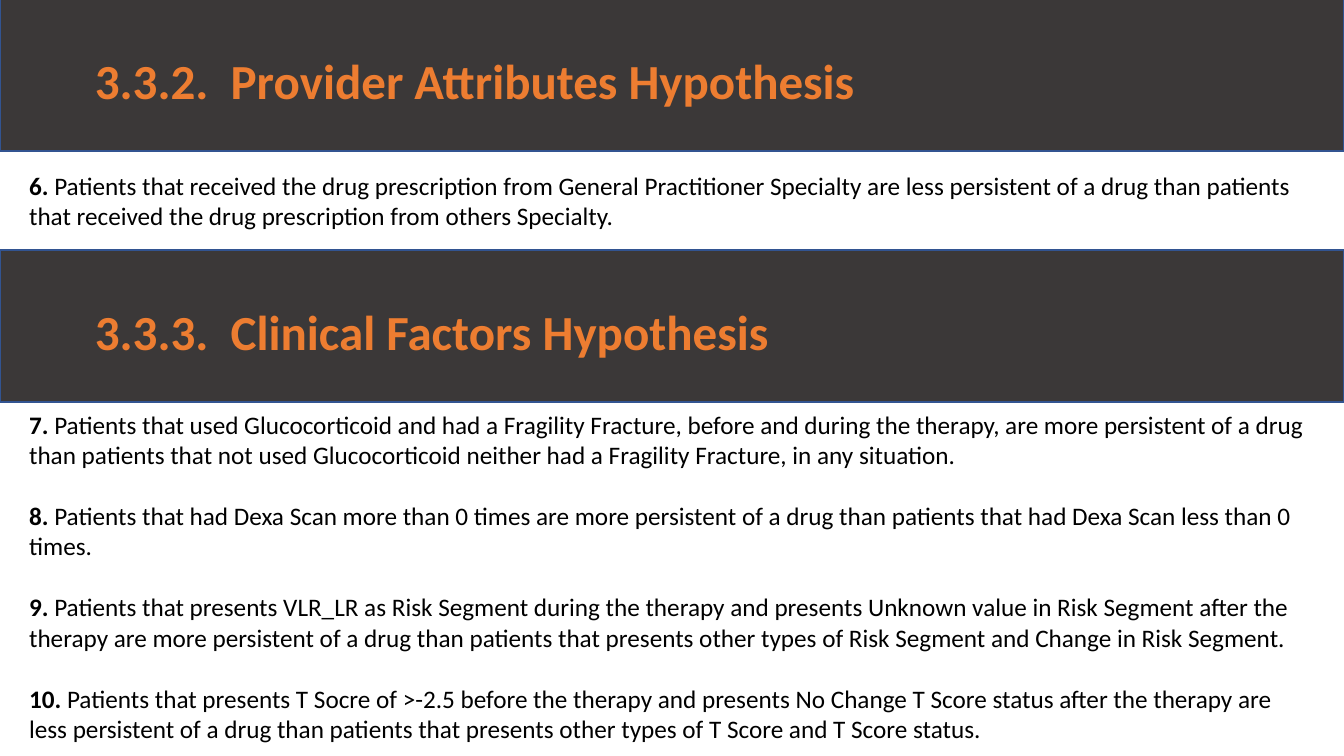
from pptx import Presentation
from pptx.dml.color import RGBColor
from pptx.enum.shapes import MSO_SHAPE
from pptx.enum.text import MSO_ANCHOR, PP_ALIGN
from pptx.util import Inches, Pt

RECT = MSO_SHAPE.RECTANGLE
MIDDLE = MSO_ANCHOR.MIDDLE
LEFT = PP_ALIGN.LEFT

COLORS = {"band": "3B3838", "edge": "325491", "title": "ED7D31", "body": "000000"}
WIDTH = 13.33

PROVIDER = [
    ("6.", "Patients that received the drug prescription from General Practitioner "
     "Specialty are less persistent of a drug than patients that received the drug "
     "prescription from others Specialty."),
]
CLINICAL = [
    ("7.", "Patients that used Glucocorticoid and had a Fragility Fracture, before and "
     "during the therapy, are more persistent of a drug than patients that not used "
     "Glucocorticoid neither had a Fragility Fracture, in any situation."),
    ("8.", "Patients that had Dexa Scan more than 0 times are more persistent of a drug "
     "than patients that had Dexa Scan less than 0 times."),
    ("9.", "Patients that presents VLR_LR as Risk Segment during the therapy and presents "
     "Unknown value in Risk Segment after the therapy are more persistent of a drug than "
     "patients that presents other types of Risk Segment and Change in Risk Segment."),
    ("10.", "Patients that presents T Socre of >-2.5 before the therapy and presents No "
     "Change T Score status after the therapy are less persistent of a drug than patients "
     "that presents other types of T Score and T Score status."),
]


def color(name):
    return RGBColor.from_string(COLORS[name])


def add_run(para, text, tint, **form):
    run = para.add_run()
    run.text = text
    run.font.color.rgb = color(tint)
    for key, value in {"name": "Calibri", **form}.items():
        setattr(run.font, key, value)


def add_band(slide, top, title):
    """Draw a full-width dark bar that holds a section title."""
    band = slide.shapes.add_shape(RECT, 0, Inches(top), Inches(WIDTH), Inches(1.51))
    band.shadow.inherit = False
    band.fill.solid()
    band.fill.fore_color.rgb = color("band")
    band.line.color.rgb = color("edge")
    band.line.width = Pt(1)
    frame = band.text_frame
    form = {"vertical_anchor": MIDDLE, "word_wrap": True,
            "margin_left": Inches(0.94), "margin_top": Inches(0.14)}
    for key, value in form.items():
        setattr(frame, key, value)
    para = frame.paragraphs[0]
    para.alignment = LEFT
    add_run(para, title, "title", size=Pt(35), bold=True)


def add_items(slide, top, height, items):
    """Write numbered statements, one paragraph each, a line apart."""
    box = slide.shapes.add_textbox(Inches(0.19), Inches(top), Inches(12.95), Inches(height))
    frame = box.text_frame
    frame.word_wrap = True
    for index, (number, text) in enumerate(items):
        para = frame.add_paragraph() if index else frame.paragraphs[0]
        para.space_before = Pt(22 if index else 0)
        add_run(para, number, "body", size=Pt(18), bold=True)
        add_run(para, " " + text, "body", size=Pt(18), bold=False)


def main():
    deck = Presentation()
    deck.slide_width, deck.slide_height = Inches(WIDTH), Inches(7.5)
    slide = deck.slides.add_slide(deck.slide_layouts[6])
    add_band(slide, -0.01, "3.3.2.  Provider Attributes Hypothesis")
    add_items(slide, 1.64, 1.01, PROVIDER)
    add_band(slide, 2.48, "3.3.3.  Clinical Factors Hypothesis")
    add_items(slide, 4.01, 3.74, CLINICAL)
    deck.save("out.pptx")


if __name__ == "__main__":
    main()
